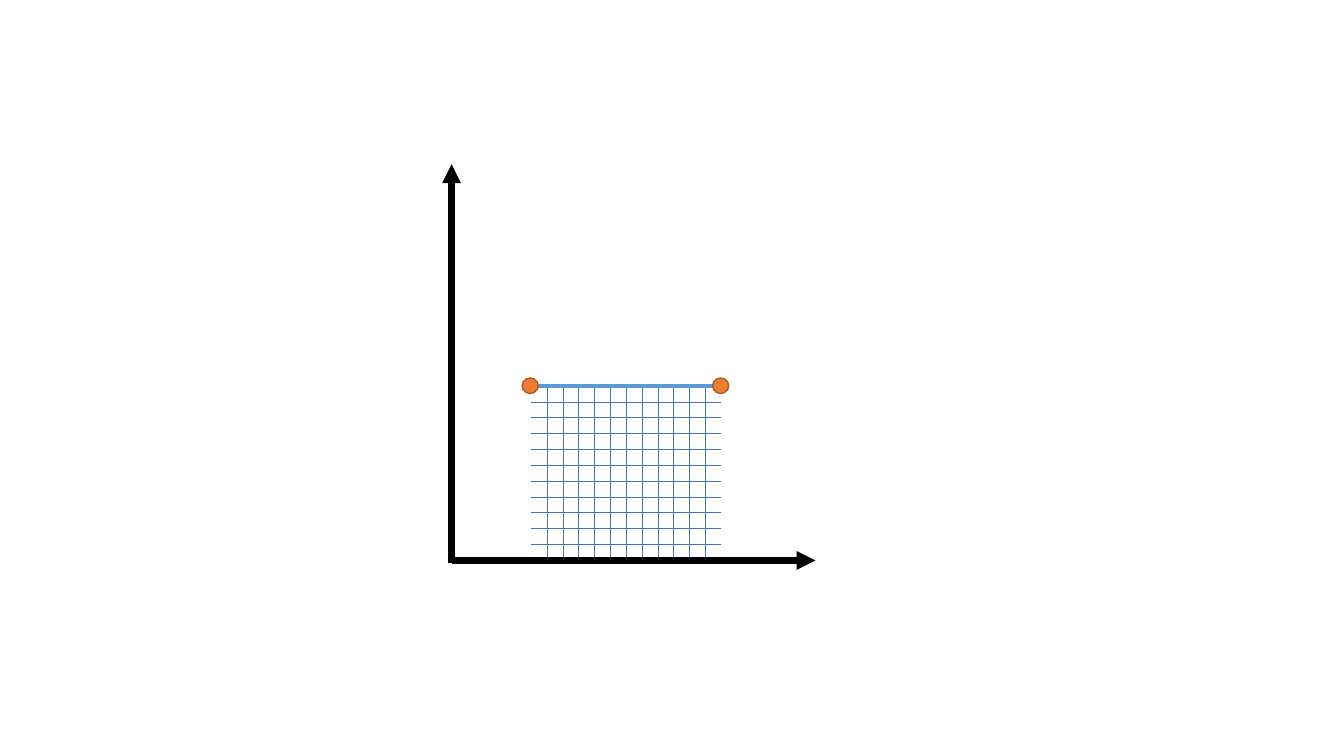
from dataclasses import dataclass

from lxml.etree import SubElement
from pptx import Presentation
from pptx.dml.color import RGBColor
from pptx.enum.dml import MSO_PATTERN_TYPE
from pptx.enum.shapes import MSO_CONNECTOR, MSO_SHAPE
from pptx.oxml.ns import qn
from pptx.slide import Slide
from pptx.util import Pt


@dataclass(frozen=True)
class Theme:
    axis: RGBColor = RGBColor(0x00, 0x00, 0x00)
    segment: RGBColor = RGBColor(0x5B, 0x9B, 0xD5)
    grid: RGBColor = RGBColor(0x44, 0x72, 0xC4)
    background: RGBColor = RGBColor(0xFF, 0xFF, 0xFF)
    endpoint: RGBColor = RGBColor(0xED, 0x7D, 0x31)
    endpoint_outline: RGBColor = RGBColor(0xAF, 0x5C, 0x24)


@dataclass(frozen=True)
class Box:
    left: float
    top: float
    width: float
    height: float

    def lengths(self) -> tuple[Pt, Pt, Pt, Pt]:
        return Pt(self.left), Pt(self.top), Pt(self.width), Pt(self.height)


@dataclass(frozen=True)
class Line:
    start: tuple[float, float]
    end: tuple[float, float]
    color: RGBColor
    width: float
    arrow: bool = False


THEME = Theme()
ORIGIN_X = 322.56
AXIS_Y = 400.32
SEGMENT_Y = 275.76

AREA = Box(379.44, SEGMENT_Y, 135.36, 122.4)
LINES = [
    Line((ORIGIN_X, 402.48), (ORIGIN_X, 117.36), THEME.axis, 4.5, arrow=True),
    Line((ORIGIN_X, AXIS_Y), (582.48, AXIS_Y), THEME.axis, 4.5, arrow=True),
    Line((378.72, SEGMENT_Y), (520.56, SEGMENT_Y), THEME.segment, 3),
]
ENDPOINTS = [Box(left, 270, 11.5, 11.1) for left in (372.96, 509.04)]


def draw_area(slide: Slide, box: Box) -> None:
    """Draw the grid-patterned area under the segment."""
    shape = slide.shapes.add_shape(MSO_SHAPE.RECTANGLE, *box.lengths())
    shape.shadow.inherit = False
    shape.fill.patterned()
    shape.fill.pattern = MSO_PATTERN_TYPE.DOTTED_GRID
    shape.fill.fore_color.rgb = THEME.grid
    shape.fill.back_color.rgb = THEME.background
    shape.line.fill.background()


def draw_line(slide: Slide, line: Line) -> None:
    connector = slide.shapes.add_connector(
        MSO_CONNECTOR.STRAIGHT, *map(Pt, line.start + line.end)
    )
    connector.line.color.rgb = line.color
    connector.line.width = Pt(line.width)
    properties = connector._element.spPr
    if line.arrow:
        SubElement(properties.find(qn("a:ln")), qn("a:tailEnd"), type="triangle")
    SubElement(properties, qn("a:effectLst"))


def draw_endpoint(slide: Slide, box: Box) -> None:
    shape = slide.shapes.add_shape(MSO_SHAPE.OVAL, *box.lengths())
    shape.shadow.inherit = False
    shape.fill.solid()
    shape.fill.fore_color.rgb = THEME.endpoint
    shape.line.color.rgb = THEME.endpoint_outline
    shape.line.width = Pt(1)


def main() -> None:
    presentation = Presentation()
    page = {"slide_width": Pt(960), "slide_height": Pt(540)}
    for name, value in page.items():
        setattr(presentation, name, value)
    slide = presentation.slides.add_slide(presentation.slide_layouts[6])

    draw_area(slide, AREA)
    for line in LINES:
        draw_line(slide, line)
    for endpoint in ENDPOINTS:
        draw_endpoint(slide, endpoint)
    presentation.save("out.pptx")


if __name__ == "__main__":
    main()
